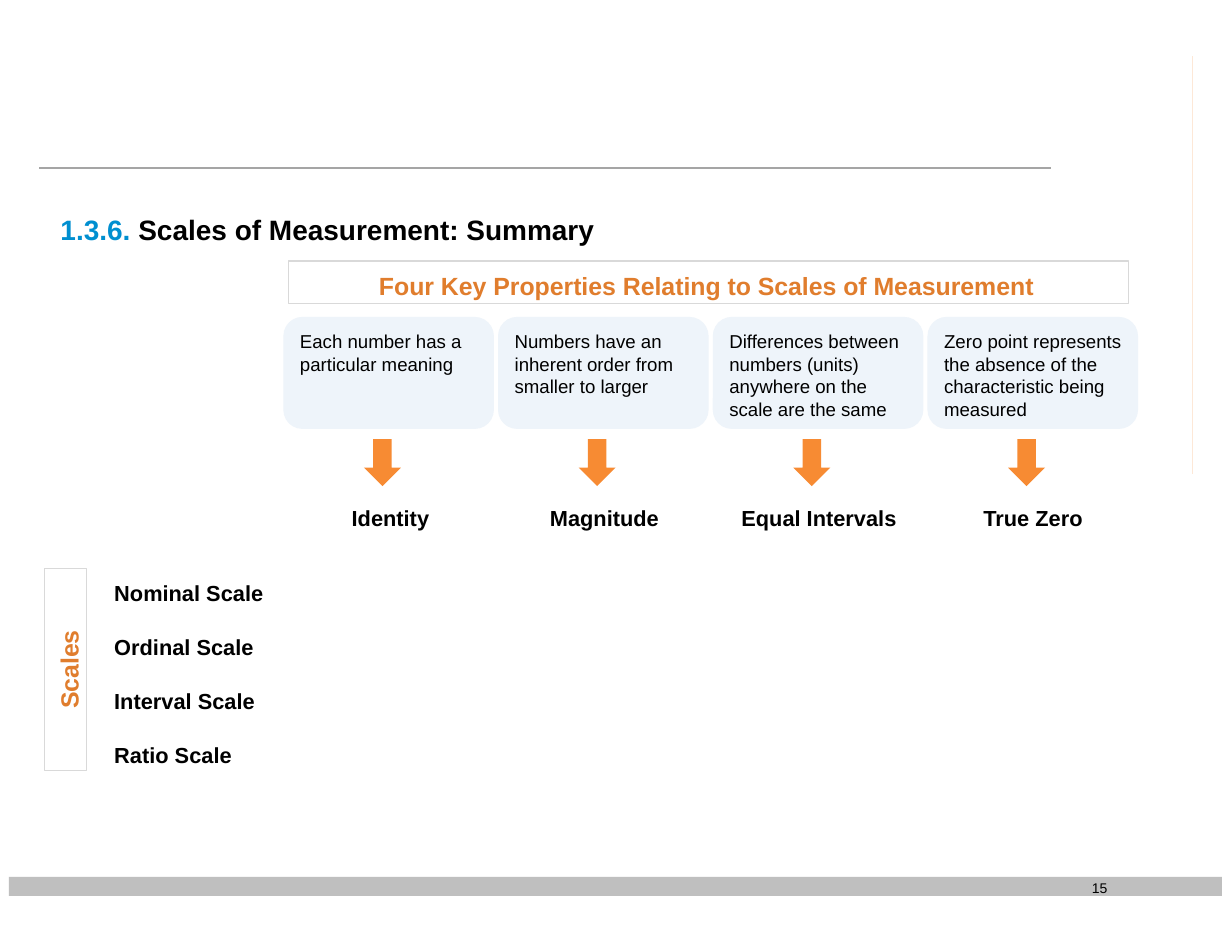
from dataclasses import dataclass

from lxml import etree
from pptx import Presentation
from pptx.dml.color import RGBColor
from pptx.enum.shapes import MSO_CONNECTOR, MSO_SHAPE
from pptx.enum.text import MSO_ANCHOR, PP_ALIGN
from pptx.oxml.ns import qn
from pptx.util import Inches, Pt

FONT = "Arial"
LEFT, CENTER = PP_ALIGN.LEFT, PP_ALIGN.CENTER
TOP = MSO_ANCHOR.TOP
RECTANGLE, ROUNDED = MSO_SHAPE.RECTANGLE, MSO_SHAPE.ROUNDED_RECTANGLE
DOWN_ARROW = MSO_SHAPE.DOWN_ARROW
STRAIGHT = MSO_CONNECTOR.STRAIGHT

COLORS = {
    "black": "000000",
    "blue": "008FD0",
    "heading": "E07D2D",
    "arrow": "F78B33",
    "card": "EEF4FA",
    "frame": "D9D9D9",
    "rule": "A5A5A5",
    "side": "FDE8D7",
    "footer": "BFBFBF",
}


@dataclass
class Area:
    left: float
    top: float
    width: float
    height: float

    def lengths(self) -> list:
        return [Inches(v) for v in (self.left, self.top, self.width, self.height)]


@dataclass
class Property:
    name: str
    meaning: str
    column_width: float
    indent: float


PROPERTIES = [
    Property("Identity", "Each number has a particular meaning", 1.63, 0.4),
    Property("Magnitude", "Numbers have an inherent order from smaller to larger", 1.88, 0.54),
    Property("Equal Intervals",
             "Differences between numbers (units) anywhere on the scale are the same", 2.14, 0.37),
    Property("True Zero",
             "Zero point represents the absence of the characteristic being measured", 1.31, 0.39),
]
SCALES = ["Nominal Scale", "Ordinal Scale", "Interval Scale", "Ratio Scale"]
SCALE_COLUMN_WIDTH = 1.76
SCALE_PITCH = Pt(34.7)
CARD = Area(2.53, 2.83, 1.88, 1)
ARROW = Area(3.25, 3.92, 0.33, 0.42)
PROPERTY_PITCH = 1.917


def rgb(name: str) -> RGBColor:
    return RGBColor.from_string(COLORS[name])


def format_run(span, size: float, color: str, bold: bool) -> None:
    span.font.name = FONT
    span.font.size = Pt(size)
    span.font.bold = bold
    span.font.color.rgb = rgb(color)


def format_frame(frame, size: float, color: str = "black", bold: bool = False,
                 align=LEFT) -> None:
    for para in frame.paragraphs:
        para.alignment = align
        for span in para.runs:
            format_run(span, size, color, bold)


def set_margins(target, left: float = 0, top: float = 0, right: float = 0) -> None:
    target.margin_left, target.margin_top = Inches(left), Inches(top)
    target.margin_right, target.margin_bottom = Inches(right), 0


def add_label(page, area: Area, text: str, size: float, color: str = "black",
              bold: bool = False, align=LEFT):
    box = page.shapes.add_textbox(*area.lengths())
    frame = box.text_frame
    set_margins(frame)
    frame.text = text
    format_frame(frame, size, color, bold, align)
    return box


def add_block(page, kind, area: Area, fill: str):
    block = page.shapes.add_shape(kind, *area.lengths())
    block.shadow.inherit = False
    block.fill.solid()
    block.fill.fore_color.rgb = rgb(fill)
    block.line.fill.background()
    return block


def add_frame(page, area: Area) -> None:
    outline = page.shapes.add_shape(RECTANGLE, *area.lengths())
    outline.shadow.inherit = False
    outline.fill.background()
    outline.line.color.rgb = rgb("frame")
    outline.line.width = Pt(0.75)


def add_rule(page, area: Area, color: str, width: float) -> None:
    left, top, across, down = area.lengths()
    rule = page.shapes.add_connector(STRAIGHT, left, top, left + across, top + down)
    rule.line.color.rgb = rgb(color)
    rule.line.width = Pt(width)
    etree.SubElement(rule.element.spPr, qn("a:effectLst"))


def add_title(page) -> None:
    title = page.shapes.title
    title.left, title.top, title.width, title.height = Area(0.54, 1.9, 8.75, 0.3).lengths()
    frame = title.text_frame
    set_margins(frame)
    frame.vertical_anchor = TOP
    para = frame.paragraphs[0]
    para.alignment = LEFT
    for text, color in [("1.3.6. ", "blue"), ("Scales of Measurement: Summary", "black")]:
        span = para.add_run()
        span.text = text
        format_run(span, 18, color, True)


def add_property(page, index: int, item: Property) -> None:
    shift = index * PROPERTY_PITCH
    card = add_block(page, ROUNDED,
                     Area(CARD.left + shift, CARD.top, CARD.width, CARD.height), "card")
    card.adjustments[0] = 0.17
    frame = card.text_frame
    frame.word_wrap = True
    frame.vertical_anchor = TOP
    set_margins(frame, 0.1, 0.07, 0.07)
    frame.text = item.meaning
    format_frame(frame, 12)
    add_block(page, DOWN_ARROW,
              Area(ARROW.left + shift, ARROW.top, ARROW.width, ARROW.height), "arrow")


def add_scale_table(page) -> None:
    table = page.shapes.add_table(2, len(PROPERTIES) + 1,
                                  *Area(0.98, 4.52, 8.72, 2.44).lengths()).table
    table.first_row = table.horz_banding = False
    table.rows[0].height, table.rows[1].height = Inches(0.41), Inches(2.03)
    table.columns[0].width = Inches(SCALE_COLUMN_WIDTH)
    for cell in table.iter_cells():
        cell.fill.background()
        set_margins(cell)

    for column, item in enumerate(PROPERTIES, start=1):
        table.columns[column].width = Inches(item.column_width)
        cell = table.cell(0, column)
        cell.margin_left = Inches(item.indent)
        cell.text = item.name
        format_frame(cell.text_frame, 14, bold=True)

    scales = table.cell(1, 0)
    scales.margin_left = Inches(0.04)
    scales.text = "\n".join(SCALES)
    format_frame(scales.text_frame, 14, bold=True)
    for para in scales.text_frame.paragraphs:
        para.line_spacing = SCALE_PITCH


def main() -> None:
    deck = Presentation()
    deck.slide_width, deck.slide_height = Inches(11), Inches(8.5)
    page = deck.slides.add_slide(deck.slide_layouts[5])

    # Page rules and title
    add_rule(page, Area(0.35, 1.5, 9.03, 0), "rule", 0.94)
    add_rule(page, Area(10.65, 0.5, 0, 3.73), "side", 0.5)
    add_title(page)

    # Properties
    add_frame(page, Area(2.58, 2.33, 7.5, 0.38))
    add_label(page, Area(2.81, 2.42, 7, 0.25),
              "Four Key Properties Relating to Scales of Measurement",
              16, "heading", True, CENTER)
    for index, item in enumerate(PROPERTIES):
        add_property(page, index, item)

    # Scales
    add_frame(page, Area(0.4, 5.08, 0.37, 1.8))
    side_label = add_label(page, Area(0.48, 5.6, 0.25, 0.73), "Scales", 16, "heading", True)
    side_label.element.txBody.bodyPr.set("vert", "vert270")
    add_scale_table(page)

    # Footer
    add_block(page, RECTANGLE, Area(0.08, 7.83, 10.83, 0.17), "footer")
    add_label(page, Area(9.75, 7.85, 0.2, 0.15), "15", 9)

    deck.save("out.pptx")


if __name__ == "__main__":
    main()
